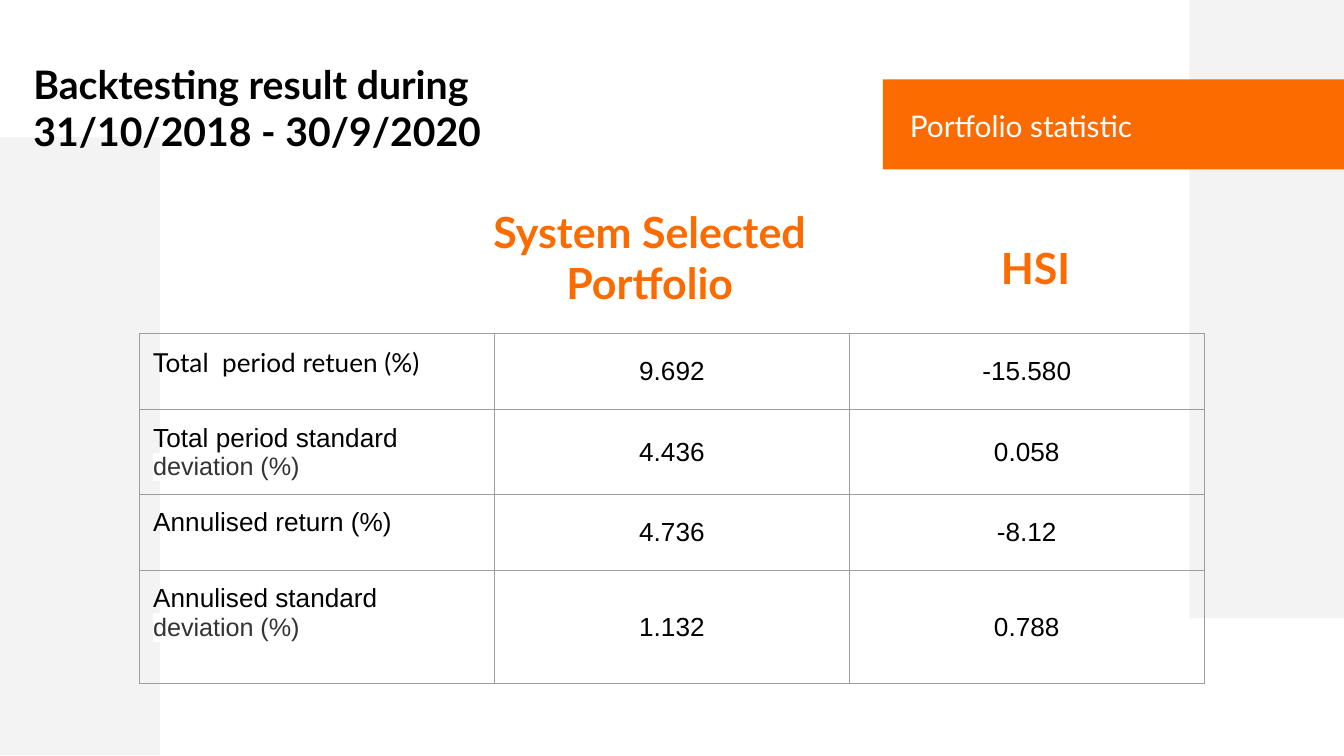
import pptx
import pptx.util
import pptx.dml.color
import pptx.enum.shapes
import pptx.enum.text
import pptx.oxml
import pptx.oxml.ns
from lxml import etree

Inches, Pt = pptx.util.Inches, pptx.util.Pt
ALIGN, ANCHOR = pptx.enum.text.PP_ALIGN, pptx.enum.text.MSO_ANCHOR

WIDTH = 10
HEIGHT = WIDTH * 9 / 16
COLORS = {"orange": "FB6B00", "panel": "F3F3F3", "white": "FFFFFF",
          "black": "000000", "dark": "333333", "grid": "9E9E9E"}

# Left, top, width, height, colour
PANELS = [
    (8.85, 0, 1.19, 4.6, "panel"),
    (0, 1.02, 1.19, 4.6, "panel"),
    (6.57, 0.59, 3.43, 0.67, "orange"),
]
TITLE = "Portfolio statistic"
# Box, lines, size, colour, alignment
LABELS = [
    ((3.11, 1.43, 3.45, 0.5), ["System Selected Portfolio"], 23, "orange", ALIGN.CENTER),
    ((5.98, 1.7, 3.45, 0.5), ["HSI"], 23, "orange", ALIGN.CENTER),
    ((0.15, 0.35, 6.24, 0.89),
     ["Backtesting result during", "31/10/2018 - 30/9/2020"], 21, "black", ALIGN.LEFT),
]
# Row height, label, marked end of label, label font, values
ROWS = [
    (0.57, "Total  period retuen (%)", "", "Lato", ("9.692", "-15.580")),
    (0.62, "Total period standard ", "deviation (%)", "Arial", ("4.436", "0.058")),
    (0.57, "Annulised return (%)", "", "Arial", ("4.736", "-8.12")),
    (0.84, "Annulised standard ", "deviation (%)", "Arial", ("1.132", "0.788")),
]
COL_WIDTH = 2.64


def rgb(name):
    return pptx.dml.color.RGBColor.from_string(COLORS[name])


def add_run(para, text, size, color, face="Lato", bold=False):
    run = para.add_run()
    run.text = text
    font = run.font
    font.size, font.name, font.bold = Pt(size), face, bold
    font.color.rgb = rgb(color)
    return run


def mark(run, color):
    """Set the highlight, which must follow the fill of the run."""
    fill = run.font._element.find(pptx.oxml.ns.qn("a:solidFill"))
    light = etree.Element(pptx.oxml.ns.qn("a:highlight"))
    etree.SubElement(light, pptx.oxml.ns.qn("a:srgbClr"), val=COLORS[color])
    fill.addnext(light)


def pad(item):
    """Set equal insets on a text frame or a table cell."""
    item.margin_left = item.margin_right = Inches(0.1)
    item.margin_top = item.margin_bottom = Inches(0.1)


def style_cell(cell):
    pad(cell)
    cell.fill.background()
    props = cell._tc.get_or_add_tcPr()
    for i, side in enumerate("LRTB"):
        props.insert(i, pptx.oxml.parse_xml(
            f'<a:ln{side} {pptx.oxml.ns.nsdecls("a")} w="{Pt(0.75)}"><a:solidFill>'
            f'<a:srgbClr val="{COLORS["grid"]}"/></a:solidFill></a:ln{side}>'))


def add_panels(slide):
    for *box, color in PANELS:
        shape = slide.shapes.add_shape(
            pptx.enum.shapes.MSO_SHAPE.RECTANGLE, *map(Inches, box))
        shape.shadow.inherit = False
        shape.fill.solid()
        shape.fill.fore_color.rgb = rgb(color)
        shape.line.fill.background()


def add_title(slide):
    title = slide.shapes.title
    slide.shapes._spTree.append(title._element)  # in front of the panels
    title.left, title.top = Inches(6.67), Inches(0.67)
    title.width, title.height = Inches(3.48), Inches(0.5)
    frame = title.text_frame
    frame.word_wrap = True
    frame.auto_size = pptx.enum.text.MSO_AUTO_SIZE.NONE
    frame.vertical_anchor = ANCHOR.BOTTOM
    pad(frame)
    para = frame.paragraphs[0]
    para.alignment = ALIGN.LEFT
    add_run(para, TITLE, 16, "white")


def add_stats(slide):
    frame = slide.shapes.add_table(
        len(ROWS), 3, Inches(1.04), Inches(2.48),
        Inches(3 * COL_WIDTH), Inches(sum(row[0] for row in ROWS)))
    table = frame.table
    table.first_row = table.horz_banding = False
    for col in table.columns:
        col.width = Inches(COL_WIDTH)
    for r, (height, label, end, face, values) in enumerate(ROWS):
        table.rows[r].height = Inches(height)
        head = table.cell(r, 0)
        style_cell(head)
        para = head.text_frame.paragraphs[0]
        add_run(para, label, 14, "black", face)
        if end:
            mark(add_run(para, end, 13.5, "dark", face), "white")
        for c, value in enumerate(values, 1):
            cell = table.cell(r, c)
            style_cell(cell)
            cell.vertical_anchor = ANCHOR.MIDDLE
            para = cell.text_frame.paragraphs[0]
            para.alignment = ALIGN.CENTER
            add_run(para, value, 14, "black", "Arial")


def add_labels(slide):
    for box, lines, size, color, align in LABELS:
        frame = slide.shapes.add_textbox(*map(Inches, box)).text_frame
        frame.word_wrap = True
        pad(frame)
        for i, line in enumerate(lines):
            para = frame.add_paragraph() if i else frame.paragraphs[0]
            para.alignment = align
            add_run(para, line, size, color, bold=True)


def main():
    deck = pptx.Presentation()
    deck.slide_width, deck.slide_height = Inches(WIDTH), Inches(HEIGHT)
    slide = deck.slides.add_slide(deck.slide_layouts[5])
    add_panels(slide)
    add_title(slide)
    add_stats(slide)
    add_labels(slide)
    deck.save("out.pptx")


if __name__ == "__main__":
    main()
